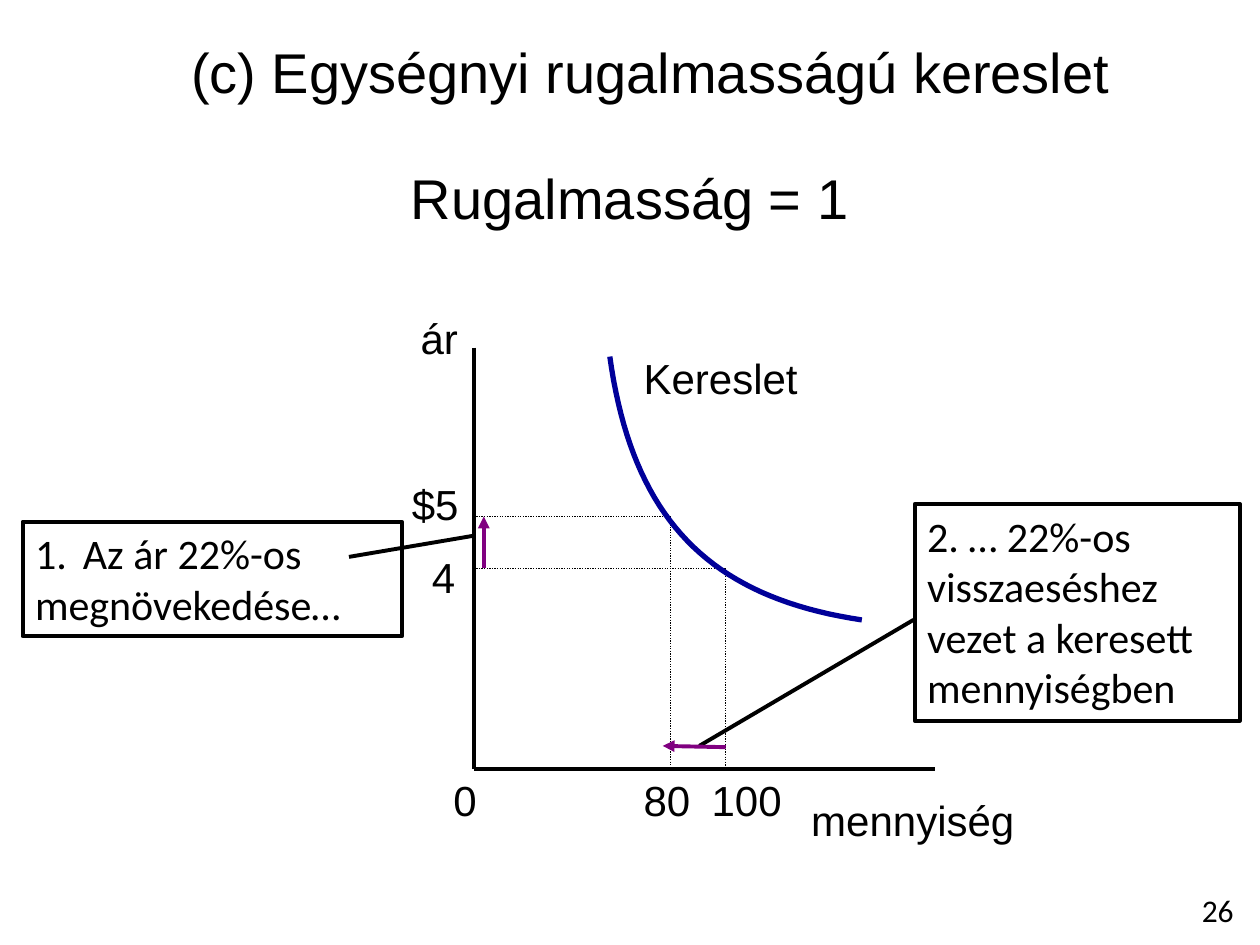
import pptx
import pptx.dml.color
import pptx.enum.dml
import pptx.enum.shapes
import pptx.enum.text
import pptx.oxml
import pptx.oxml.ns
import pptx.util

Inches = pptx.util.Inches
Pt = pptx.util.Pt
ALIGN = pptx.enum.text.PP_ALIGN
DOTTED = pptx.enum.dml.MSO_LINE.ROUND_DOT

BLACK = pptx.dml.color.RGBColor(0x00, 0x00, 0x00)
PURPLE = pptx.dml.color.RGBColor(0x80, 0x00, 0x80)
NAVY = pptx.dml.color.RGBColor(0x00, 0x00, 0x99)

# Diagram coordinates in inches
ORIGIN_X, ORIGIN_Y = 3.76, 6.1
AXIS_TOP, AXIS_RIGHT = 2.76, 7.42
PRICE_4, PRICE_5 = 4.51, 4.1
QTY_80, QTY_100 = 5.32, 5.76
CURVE = [(4.84, 2.83), (5.02, 4.12), (5.63, 4.74), (6.84, 4.92)]


def add_xml(parent, tag, **attrs):
    child = pptx.oxml.parse_xml(f"<a:{tag} {pptx.oxml.ns.nsdecls('a')}/>")
    for name, value in attrs.items():
        child.set(name, value)
    parent.append(child)


def write_text(s, text, size=24, font="Arial", align=ALIGN.LEFT, wrap=False,
               numbered=False):
    """Fill a shape; with numbered, its first paragraph gets number 1."""
    tf = s.text_frame
    tf.word_wrap = wrap
    tf.vertical_anchor = pptx.enum.text.MSO_ANCHOR.TOP
    tf.text = text
    for i, p in enumerate(tf.paragraphs):
        p.alignment = align
        if numbered and i == 0:
            pPr = p._p.get_or_add_pPr()
            pPr.set("marL", str(Inches(0.38)))
            pPr.set("indent", str(Inches(-0.38)))
            add_xml(pPr, "buFont", typeface="+mj-lt")
            add_xml(pPr, "buAutoNum", type="arabicPeriod")
        p.font.size = Pt(size)
        p.font.name = font
        p.font.color.rgb = BLACK


def place(s, x, y, w, h):
    s.left, s.top, s.width, s.height = map(Inches, (x, y, w, h))


def add_label(slide, text, x, y, w, h=0.5, **fmt):
    s = slide.shapes.add_textbox(*map(Inches, (x, y, w, h)))
    write_text(s, text, **fmt)


def add_line(slide, x1, y1, x2, y2, color=BLACK, width=2.25, dash=None, arrow=False):
    s = slide.shapes.add_connector(pptx.enum.shapes.MSO_CONNECTOR.STRAIGHT,
                                   *map(Inches, (x1, y1, x2, y2)))
    s.line.color.rgb = color
    s.line.width = Pt(width)
    if dash:
        s.line.dash_style = dash
    if arrow:
        add_xml(s.line._get_or_add_ln(), "tailEnd", type="triangle")
    add_xml(s._element.spPr, "effectLst")


def add_callout(slide, text, box, pointer, **fmt):
    s = slide.shapes.add_shape(pptx.enum.shapes.MSO_SHAPE.RECTANGLE, *map(Inches, box))
    s.shadow.inherit = False
    s.fill.background()
    s.line.color.rgb = BLACK
    s.line.width = Pt(2.25)
    write_text(s, text, font="Calibri", wrap=True, **fmt)
    add_line(slide, *pointer)


def bezier(points, t):
    weights = ((1 - t) ** 3, 3 * t * (1 - t) ** 2, 3 * t * t * (1 - t), t ** 3)
    return tuple(Inches(sum(w * pt[axis] for w, pt in zip(weights, points)))
                 for axis in (0, 1))


def add_curve(slide, points, steps=40):
    path = [bezier(points, i / steps) for i in range(steps + 1)]
    builder = slide.shapes.build_freeform(*path[0])
    builder.add_line_segments(path[1:], close=False)
    s = builder.convert_to_shape()
    s.shadow.inherit = False
    s.fill.background()
    s.line.color.rgb = NAVY
    s.line.width = Pt(3)


def main():
    prs = pptx.Presentation()
    prs.slide_width, prs.slide_height = Inches(10), Inches(7.5)
    slide = prs.slides.add_slide(prs.slide_layouts[5])

    # Headings and slide number
    title = slide.shapes.title
    place(title, 1.39, 0.25, 7.55, 0.64)
    write_text(title, "(c) Egységnyi rugalmasságú kereslet", size=32, align=ALIGN.CENTER)
    add_label(slide, "Rugalmasság = 1", 3.15, 1.25, 3.7, 0.64, size=32, align=ALIGN.CENTER)
    add_label(slide, "26", 9.33, 7.02, 0.67, 0.4, size=18, font="Calibri",
              align=ALIGN.CENTER, wrap=True)

    # Axes
    add_line(slide, ORIGIN_X, AXIS_TOP, ORIGIN_X, ORIGIN_Y)
    add_line(slide, ORIGIN_X, ORIGIN_Y, AXIS_RIGHT, ORIGIN_Y)

    # Axis and curve labels
    for text, x, y, w in [
        ("ár", 3.24, 2.43, 0.59), ("mennyiség", 6.34, 6.26, 1.93),
        ("$5", 3.17, 3.75, 0.58), ("4", 3.33, 4.33, 0.39),
        ("0", 3.5, ORIGIN_Y, 0.39), ("80", 5.01, ORIGIN_Y, 0.58),
        ("100", 5.55, ORIGIN_Y, 0.76), ("Kereslet", 5.01, 2.75, 1.44),
    ]:
        add_label(slide, text, x, y, w)

    # Dotted guides from each point on the curve to both axes
    for qty, price in [(QTY_80, PRICE_5), (QTY_100, PRICE_4)]:
        add_line(slide, ORIGIN_X, price, qty, price, width=0.75, dash=DOTTED)
        add_line(slide, qty, price, qty, ORIGIN_Y, width=0.75, dash=DOTTED)

    # Demand curve
    add_curve(slide, CURVE)

    # Callouts with pointers
    add_callout(slide, "Az ár 22%-os\nmegnövekedése…", (0.18, 4.14, 3.01, 0.91),
                (2.77, 4.42, 3.77, 4.25), numbered=True)
    add_callout(slide, "2. … 22%-os\vvisszaeséshez\vvezet a keresett\vmennyiségben",
                (7.26, 4, 2.58, 1.72), (5.55, 5.92, 7.25, 4.92))

    # Arrows of change
    add_line(slide, 3.84, PRICE_4, 3.84, PRICE_5, color=PURPLE, arrow=True)
    add_line(slide, QTY_100, 5.93, 5.26, 5.92, color=PURPLE, arrow=True)

    prs.save("out.pptx")


if __name__ == "__main__":
    main()
